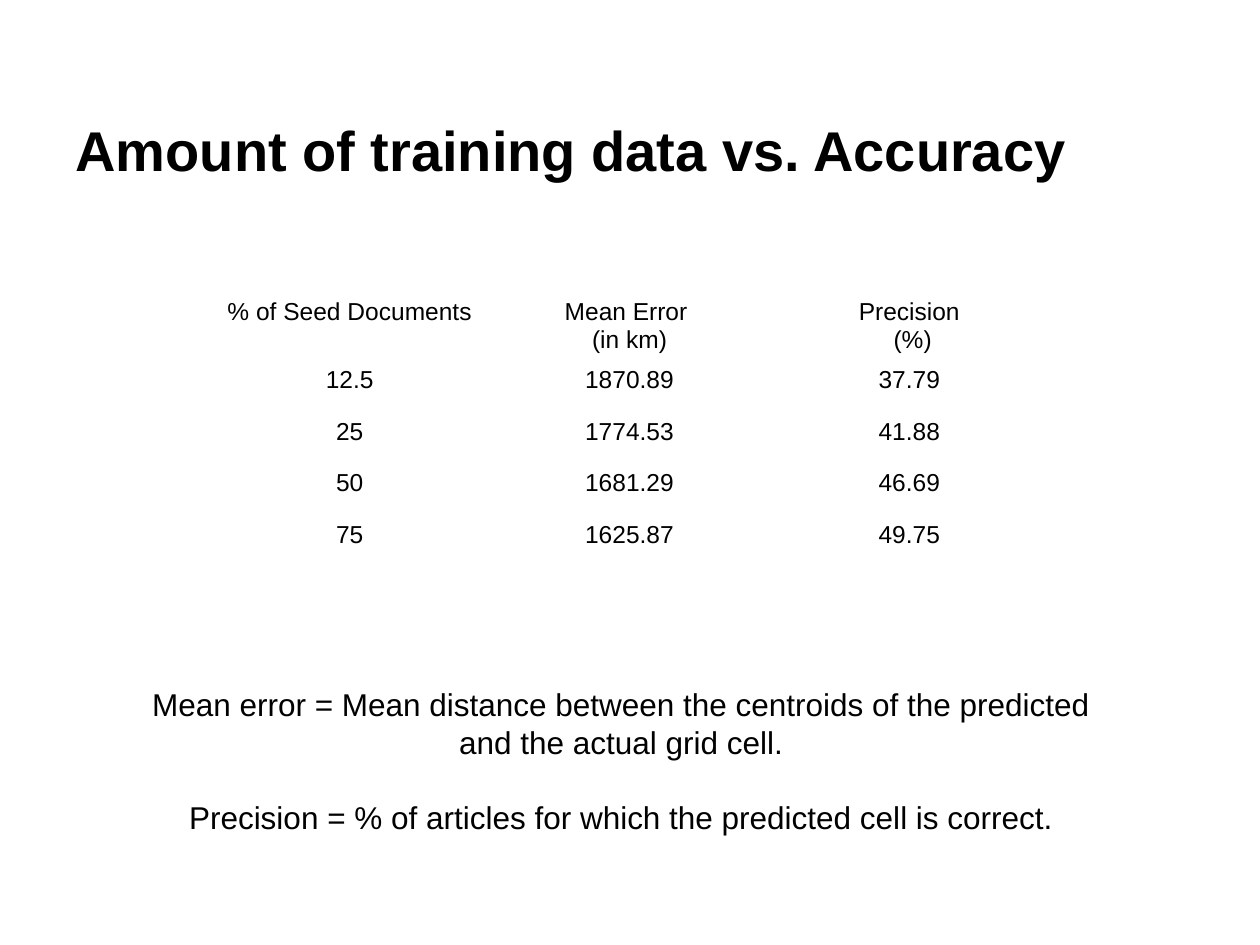
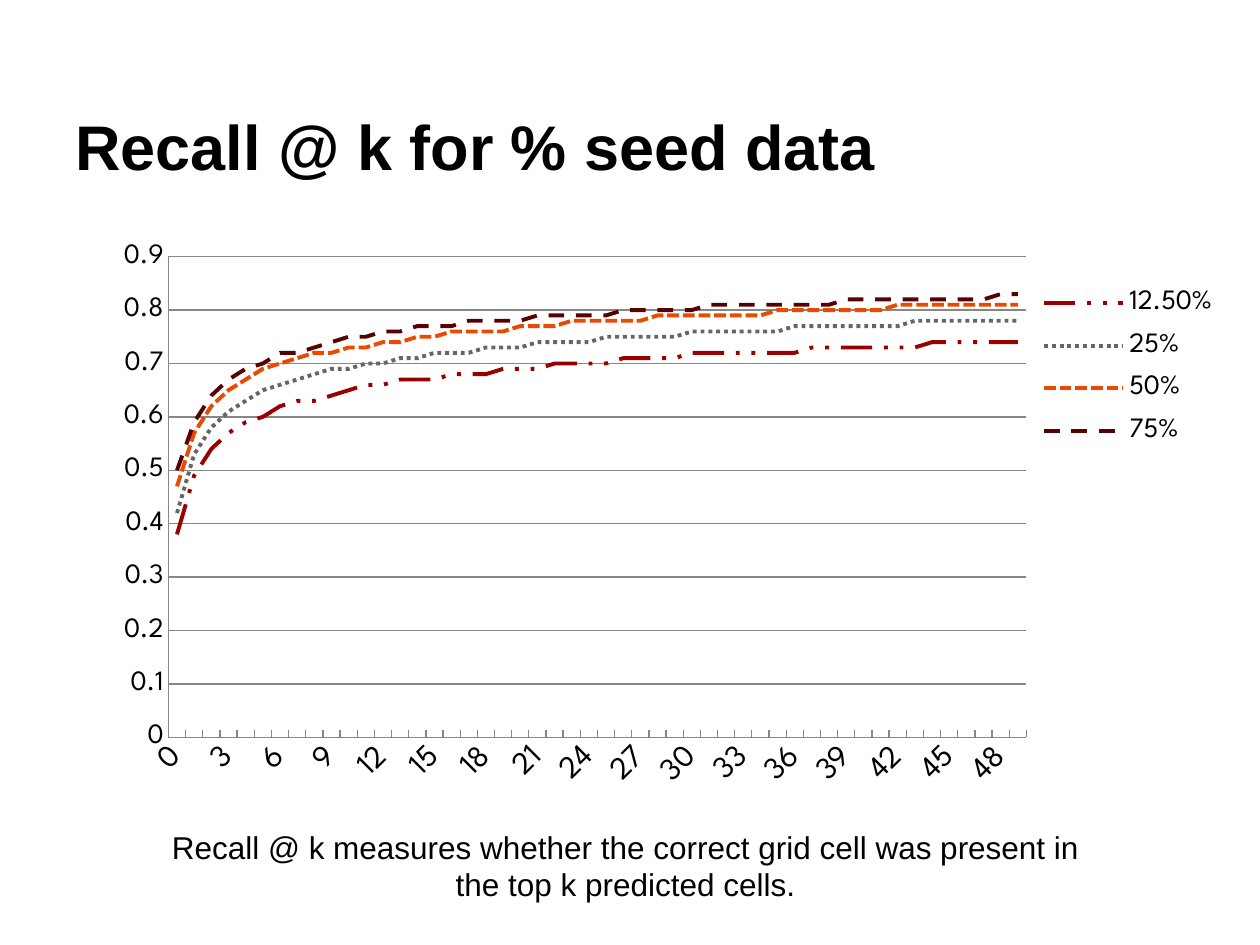
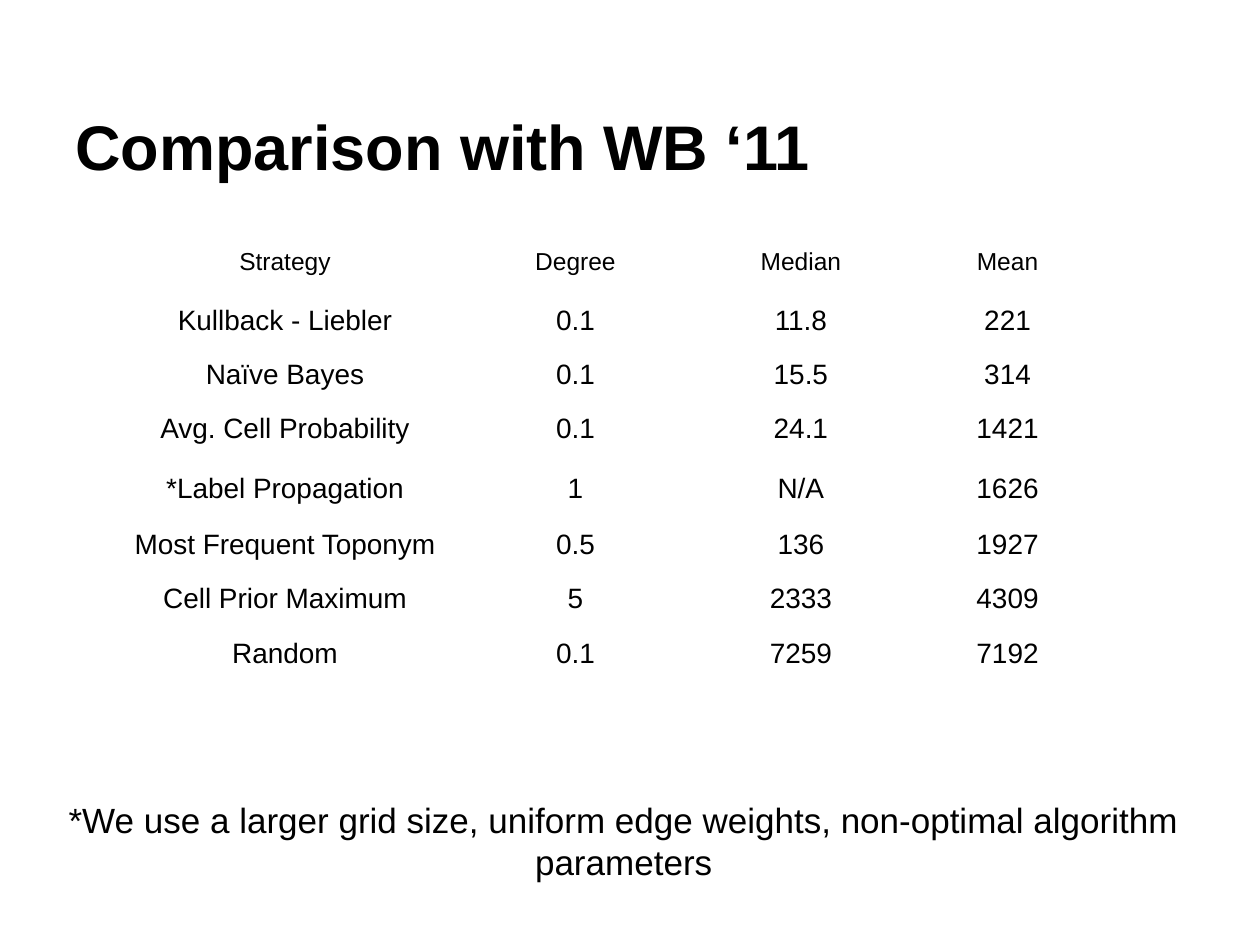
from dataclasses import dataclass

from lxml.etree import SubElement
from pptx import Presentation
from pptx.chart.data import CategoryChartData
from pptx.dml.color import RGBColor
from pptx.enum.chart import XL_CHART_TYPE, XL_LEGEND_POSITION, XL_MARKER_STYLE, XL_TICK_MARK
from pptx.enum.dml import MSO_LINE
from pptx.enum.text import MSO_ANCHOR, MSO_AUTO_SIZE, PP_ALIGN
from pptx.oxml.ns import qn
from pptx.util import Cm, Pt


@dataclass(frozen=True)
class Theme:
    text_font: str = "Arial"
    chart_font: str = "League Spartan"
    ink: RGBColor = RGBColor(0, 0, 0)
    grid: RGBColor = RGBColor(0x87, 0x87, 0x87)
    long_title: int = 32
    title: int = 36
    table_head: int = 14
    table_body: int = 16
    caption: int = 18
    footnote: int = 20
    axis: int = 18
    chart_label: int = 16
    series_width: float = 2.25


theme = Theme()


def format_text(frame, size, align, bold=False):
    for para in frame.paragraphs:
        para.alignment = align
        for span in para.runs:
            span.font.name = theme.text_font
            span.font.size = Pt(size)
            span.font.bold = bold
            span.font.color.rgb = theme.ink


def set_layout(element, index, fractions, inner=False):
    """Fix a plot area or legend at fractions (x, y, w, h) of the chart."""
    layout = element.find(qn("c:layout"))
    if layout is None:
        layout = SubElement(element, qn("c:layout"))
        element.insert(index, layout)
    manual = SubElement(layout, qn("c:manualLayout"))
    if inner:
        SubElement(manual, qn("c:layoutTarget")).set("val", "inner")
    for name in ("xMode", "yMode"):
        SubElement(manual, qn(f"c:{name}")).set("val", "edge")
    for name, value in zip("xywh", fractions):
        SubElement(manual, qn(f"c:{name}")).set("val", str(value))


deck = Presentation()
deck.slide_width, deck.slide_height = Cm(25.4), Cm(19.05)

# Titles: all stand on the same line, 3.94 cm down
titles = [
    ("Amount of training data vs. Accuracy", theme.long_title, 1.88),
    ("Recall @ k for % seed data", theme.title, 2.06),
    ("Comparison with WB ‘11", theme.title, 3.18),
]
slides = []
for text, size, height in titles:
    slide = deck.slides.add_slide(deck.slide_layouts[5])
    title = slide.shapes.title
    title.left, title.top = Cm(1.27), Cm(3.94 - height)
    title.width, title.height = Cm(22.86), Cm(height)
    frame = title.text_frame
    frame.text = text
    frame.auto_size = MSO_AUTO_SIZE.NONE
    frame.vertical_anchor = MSO_ANCHOR.BOTTOM
    frame.margin_left = frame.margin_right = Cm(0.25)
    frame.margin_top = frame.margin_bottom = Cm(0.25)
    format_text(frame, size, PP_ALIGN.LEFT, bold=True)
    slides.append(slide)
accuracy_slide, recall_slide, comparison_slide = slides

# Tables
accuracy_rows = [
    ("% of Seed Documents", "Mean Error \n(in km)", "Precision\n (%)"),
    ("12.5", "1870.89", "37.79"),
    ("25", "1774.53", "41.88"),
    ("50", "1681.29", "46.69"),
    ("75", "1625.87", "49.75"),
]
comparison_rows = [
    ("Strategy", "Degree", "Median", "Mean"),
    ("Kullback - Liebler", "0.1", "11.8", "221"),
    ("Naïve Bayes", "0.1", "15.5", "314"),
    ("Avg. Cell Probability", "0.1", "24.1", "1421"),
    ("*Label Propagation", "1", "N/A", "1626"),
    ("Most Frequent Toponym", "0.5", "136", "1927"),
    ("Cell Prior Maximum", "5", "2333", "4309"),
    ("Random", "0.1", "7259", "7192"),
]
tables = [
    (accuracy_slide, accuracy_rows, 4.23, 5.89, [5.64] * 3, [1.04] * 5, theme.table_head),
    (comparison_slide, comparison_rows, 2.24, 4.88, [7.01, 4.7, 4.39, 3.94],
     [1.14, 1.09, 1.09, 1.22, 1.12, 1.09, 1.12, 0.86], theme.table_body),
]
for slide, rows, left, top, widths, heights, body_size in tables:
    table = slide.shapes.add_table(len(rows), len(widths), Cm(left), Cm(top),
                                   Cm(sum(widths)), Cm(sum(heights))).table
    table.first_row = table.horz_banding = False
    for column, width in zip(table.columns, widths):
        column.width = Cm(width)
    for row_number, (row, height, texts) in enumerate(zip(table.rows, heights, rows)):
        row.height = Cm(height)
        for cell, text in zip(row.cells, texts):
            cell.fill.background()
            cell.text_frame.text = text
            format_text(cell.text_frame, body_size if row_number else theme.table_head, PP_ALIGN.CENTER)

# Recall chart: name, colour, dash, recall in percent for k = 0 to 49
recall_series = [
    ("12.50%", "990000", MSO_LINE.DASH_DOT_DOT,
     [38, 49, 54, 57, 59, 60, 62, 63, 63, 64, 65, 66, 66, 67, 67, 67, 68, 68, 68, 69, 69, 69, 70, 70, 70,
      70, 71, 71, 71, 71, 72, 72, 72, 72, 72, 72, 72, 73, 73, 73, 73, 73, 73, 73, 74, 74, 74, 74, 74, 74]),
    ("25%", "666666", MSO_LINE.ROUND_DOT,
     [42, 53, 58, 61, 63, 65, 66, 67, 68, 69, 69, 70, 70, 71, 71, 72, 72, 72, 73, 73, 73, 74, 74, 74, 74,
      75, 75, 75, 75, 75, 76, 76, 76, 76, 76, 76, 77, 77, 77, 77, 77, 77, 77, 78, 78, 78, 78, 78, 78, 78]),
    ("50%", "E94A00", MSO_LINE.SQUARE_DOT,
     [47, 57, 62, 65, 67, 69, 70, 71, 72, 72, 73, 73, 74, 74, 75, 75, 76, 76, 76, 76, 77, 77, 77, 78, 78,
      78, 78, 78, 79, 79, 79, 79, 79, 79, 79, 80, 80, 80, 80, 80, 80, 80, 81, 81, 81, 81, 81, 81, 81, 81]),
    ("75%", "580101", MSO_LINE.DASH,
     [50, 59, 64, 67, 69, 70, 72, 72, 73, 74, 75, 75, 76, 76, 77, 77, 77, 78, 78, 78, 78, 79, 79, 79, 79,
      79, 80, 80, 80, 80, 80, 81, 81, 81, 81, 81, 81, 81, 81, 82, 82, 82, 82, 82, 82, 82, 82, 82, 83, 83]),
]
chart_data = CategoryChartData()
chart_data.categories = range(50)
for name, _, _, percents in recall_series:
    chart_data.add_series(name, [percent / 100 for percent in percents])
chart = recall_slide.shapes.add_chart(XL_CHART_TYPE.LINE, Cm(2.03), Cm(4.72), Cm(22.76), Cm(11.4),
                                      chart_data).chart
chart.has_title = False
chart.font.name = theme.chart_font
chart.font.size = Pt(theme.axis)
chart.font.color.rgb = theme.ink
chart.plots[0].vary_by_categories = False
for series, (_, colour, dash, _) in zip(chart.plots[0].series, recall_series):
    series.smooth = False
    series.marker.style = XL_MARKER_STYLE.NONE
    series.format.line.color.rgb = RGBColor.from_string(colour)
    series.format.line.width = Pt(theme.series_width)
    series.format.line.dash_style = dash

# Chart axes and legend
k_axis, recall_axis = chart.category_axis, chart.value_axis
k_axis.major_tick_mark = XL_TICK_MARK.INSIDE
recall_axis.major_tick_mark = XL_TICK_MARK.NONE
recall_axis.minimum_scale, recall_axis.maximum_scale, recall_axis.major_unit = 0, 0.9, 0.1
recall_axis.has_major_gridlines = True
for line in (k_axis.format.line, recall_axis.format.line, recall_axis.major_gridlines.format.line):
    line.color.rgb = theme.grid
    line.width = Pt(0.75)
for axis, size in ((k_axis, theme.axis), (recall_axis, theme.chart_label)):
    axis.tick_labels.font.size = Pt(size)
    axis.tick_labels.number_format = "General"
    axis.tick_labels.number_format_is_linked = False
k_axis._element.find(qn("c:txPr")).find(qn("a:bodyPr")).set("rot", "-2700000")
skip = SubElement(k_axis._element, qn("c:tickLblSkip"))
skip.set("val", "3")
k_axis._element.find(qn("c:noMultiLvlLbl")).addprevious(skip)
chart.has_legend = True
chart.legend.position = XL_LEGEND_POSITION.RIGHT
chart.legend.include_in_layout = False
chart.legend.font.name = theme.chart_font
chart.legend.font.size = Pt(theme.chart_label)
set_layout(chart._chartSpace.chart.plotArea, 0, (0.06, 0.04, 0.76, 0.85), inner=True)
set_layout(chart.legend._element, 1, (0.83, 0.07, 0.16, 0.33))

# Captions
captions = [
    (accuracy_slide, "Mean error = Mean distance between the centroids of the predicted and the actual grid cell.\n"
     "Precision = % of articles for which the predicted cell is correct.",
     (2.31, 13.69, 20.42, 3.33), theme.caption),
    (recall_slide, "Recall @ k measures whether the correct grid cell was present in the top k predicted cells.",
     (3.07, 16.56, 19.08, 1.8), theme.caption),
    (comparison_slide, "*We use a larger grid size, uniform edge weights, non-optimal algorithm parameters",
     (1.02, 15.98, 23.11, 1.96), theme.footnote),
]
for slide, text, place, size in captions:
    box = slide.shapes.add_textbox(*map(Cm, place))
    frame = box.text_frame
    frame.word_wrap = True
    frame.text = text
    format_text(frame, size, PP_ALIGN.CENTER)
    for para in frame.paragraphs[1:]:
        para.space_before = Pt(21)

deck.save("out.pptx")
